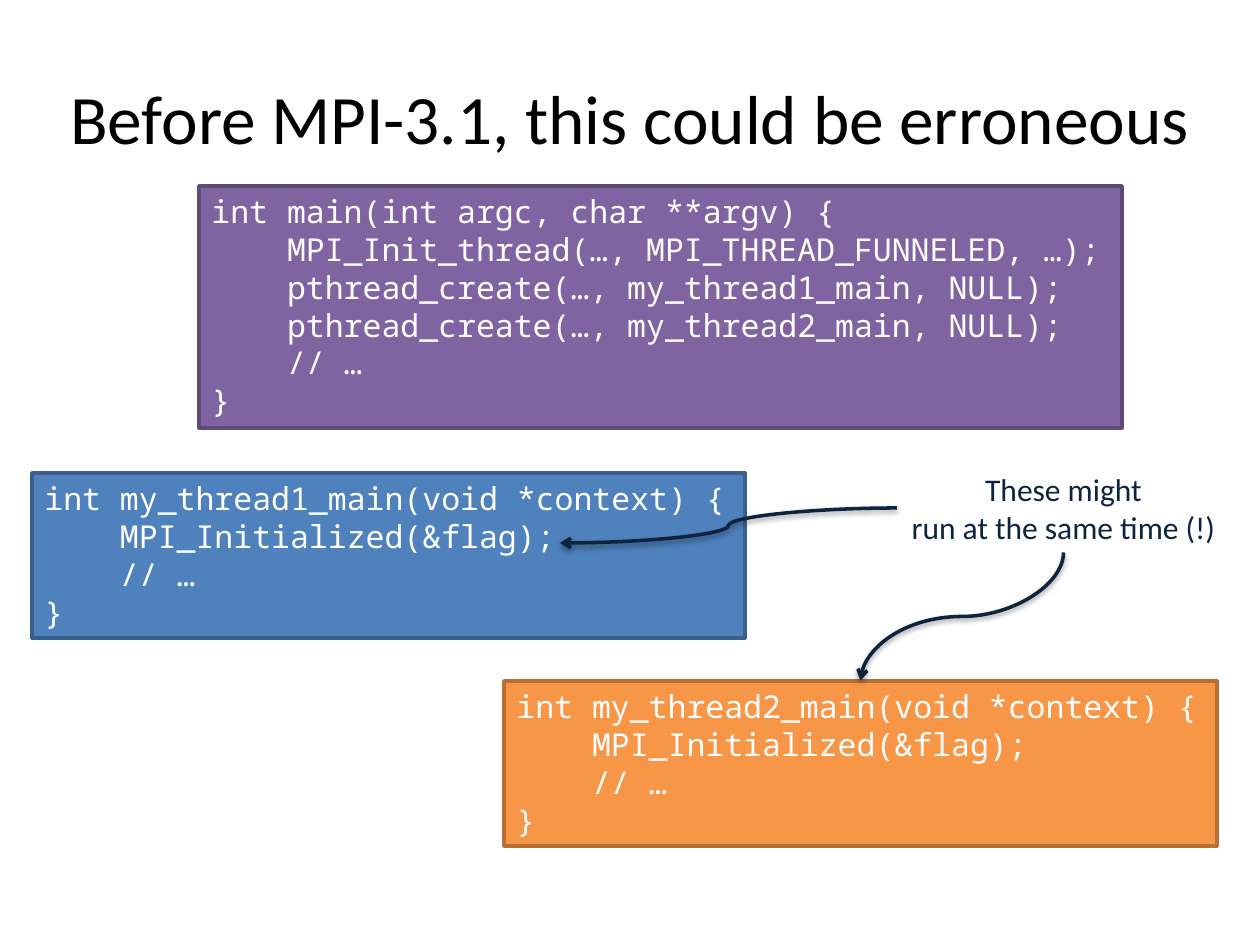
"""Build the slide on concurrent MPI_Initialized calls before MPI-3.1."""
from lxml.etree import SubElement
from pptx import Presentation
from pptx.dml.color import RGBColor
from pptx.enum.shapes import MSO_CONNECTOR, MSO_SHAPE
from pptx.enum.text import MSO_ANCHOR, MSO_AUTO_SIZE, PP_ALIGN
from pptx.oxml import parse_xml
from pptx.oxml.ns import nsdecls, qn
from pptx.util import Pt

PX = 914400 / 126
BLACK = RGBColor(0x00, 0x00, 0x00)
WHITE = RGBColor(0xFF, 0xFF, 0xFF)
NAVY = RGBColor(0x0E, 0x23, 0x3E)
BLUE, BLUE_EDGE = RGBColor(0x4F, 0x81, 0xBD), RGBColor(0x3A, 0x5F, 0x8C)
ORANGE, ORANGE_EDGE = RGBColor(0xF7, 0x96, 0x46), RGBColor(0xB7, 0x6F, 0x34)
PURPLE, PURPLE_EDGE = RGBColor(0x80, 0x64, 0xA2), RGBColor(0x5F, 0x4A, 0x78)
SHADOW = (
    f'<a:effectLst {nsdecls("a")}>'
    '<a:outerShdw blurRad="40000" dist="20000" dir="5400000" rotWithShape="0">'
    '<a:srgbClr val="000000"><a:alpha val="38000"/></a:srgbClr>'
    '</a:outerShdw></a:effectLst>'
)
THREAD_CODE = """int my_thread{}_main(void *context) {{
    MPI_Initialized(&flag);
    // …
}}"""
MAIN_CODE = """int main(int argc, char **argv) {
    MPI_Init_thread(…, MPI_THREAD_FUNNELED, …);
    pthread_create(…, my_thread1_main, NULL);
    pthread_create(…, my_thread2_main, NULL);
    // …
}"""


def px(*lengths):
    return [round(length * PX) for length in lengths]


def write(frame, text, font_name, size, color, align):
    frame.text = text
    for paragraph in frame.paragraphs:
        paragraph.alignment = align
        paragraph.font.name = font_name
        paragraph.font.size = Pt(size)
        paragraph.font.color.rgb = color


prs = Presentation()
prs.slide_width, prs.slide_height = px(1260, 945)
slide = prs.slides.add_slide(prs.slide_layouts[5])

title = slide.shapes.title
title.left, title.top, title.width, title.height = px(0, 38, 1260, 157)
title.text_frame.auto_size = MSO_AUTO_SIZE.NONE
title.text_frame.vertical_anchor = MSO_ANCHOR.MIDDLE
write(title.text_frame, "Before MPI-3.1, this could be erroneous",
      "Calibri", 39.6, BLACK, PP_ALIGN.CENTER)

for code, box, fill, edge in (
    (THREAD_CODE.format(1), (32, 473, 713, 165), BLUE, BLUE_EDGE),
    (THREAD_CODE.format(2), (504, 681, 713, 165), ORANGE, ORANGE_EDGE),
    (MAIN_CODE, (199, 186, 923, 242), PURPLE, PURPLE_EDGE),
):
    listing = slide.shapes.add_shape(MSO_SHAPE.RECTANGLE, *px(*box))
    listing.shadow.inherit = False
    listing.fill.solid()
    listing.fill.fore_color.rgb = fill
    listing.line.color.rgb = edge
    listing.line.width = Pt(2)
    listing.text_frame.word_wrap = False
    listing.text_frame.vertical_anchor = MSO_ANCHOR.TOP
    write(listing.text_frame, code, "Noto Sans Mono", 18, WHITE, PP_ALIGN.LEFT)

warning = slide.shapes.add_group_shape()
remark = warning.shapes.add_textbox(*px(897, 464, 333, 89))
remark.text_frame.word_wrap = False
write(remark.text_frame, "These might\nrun at the same time (!)",
      "Calibri", 18, NAVY, PP_ALIGN.CENTER)

for ends, turn in (((897, 508, 560, 543), 0), ((898, 515, 1026, 718), 90)):
    pointer = warning.shapes.add_connector(MSO_CONNECTOR.CURVE, *px(*ends))
    pointer.line.color.rgb = NAVY
    pointer.line.width = Pt(2)
    SubElement(pointer.line._get_or_add_ln(), qn("a:tailEnd"), type="arrow")
    properties = pointer._element.spPr
    properties.append(parse_xml(SHADOW))
    if turn:
        properties.find(qn("a:xfrm")).set("rot", str(turn * 60000))

prs.save("out.pptx")
